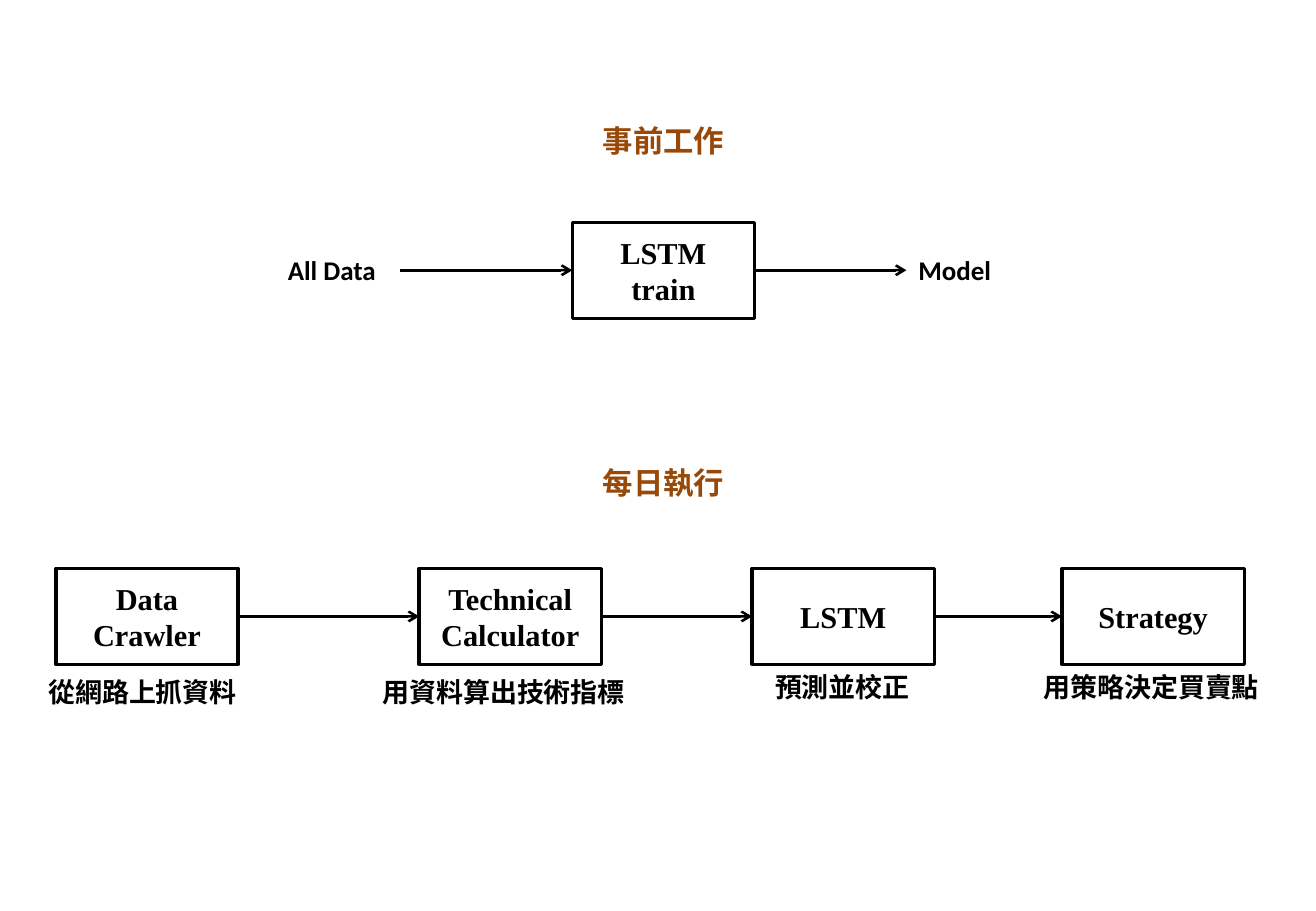
from dataclasses import dataclass
from itertools import pairwise

from lxml.etree import SubElement
from pptx import Presentation
from pptx.dml.color import RGBColor
from pptx.enum.shapes import MSO_CONNECTOR, MSO_SHAPE
from pptx.enum.text import MSO_ANCHOR, MSO_AUTO_SIZE, PP_ALIGN
from pptx.oxml.ns import qn
from pptx.util import Inches, Pt

BLACK, WHITE, BROWN = "000000", "FFFFFF", "984807"
SERIF, SANS = "Times New Roman", "Calibri"
BOX_W, BOX_H = 1.5, 0.79
HEADING_H, LABEL_H = 0.63, 0.37
CENTER_X = 4.71
TRAIN_Y, DAILY_Y = 1.83, 4.68
LEFT_SIDE, RIGHT_SIDE = 1, 3  # connection sites of a rectangle


@dataclass
class Label:
    """A line of plain text beside or below a box."""
    text: str
    x: float
    y: float
    w: float


@dataclass
class Step:
    """A box of the daily run with its caption."""
    name: str
    x: float
    caption: Label


STEPS = [
    Step("Data\nCrawler", 0.46, Label("從網路上抓資料", 0.3, 5.51, 1.97)),
    Step("Technical\nCalculator", 3.45, Label("用資料算出技術指標", 3.05, 5.51, 2.35)),
    Step("LSTM", 6.19, Label("預測並校正", 6.28, 5.47, 1.39)),
    Step("Strategy", 8.74, Label("用策略決定買賣點", 8.49, 5.47, 2.05)),
]


def rgb(color: str) -> RGBColor:
    """Turn a hex string into a colour."""
    return RGBColor.from_string(color)


def set_text(sp, text: str, font: str, size: int, color: str, align, anchor) -> None:
    """Write bold text into a shape and format it."""
    tf = sp.text_frame
    tf.text = text
    tf.word_wrap = True
    tf.auto_size = MSO_AUTO_SIZE.NONE
    tf.vertical_anchor = anchor
    for p in tf.paragraphs:
        p.alignment = align
        for r in p.runs:
            r.font.name, r.font.size, r.font.bold = font, Pt(size), True
            r.font.color.rgb = rgb(color)


def format_heading(sp, text: str, y: float) -> None:
    """Place a section heading in the centre column."""
    sp.left, sp.top = Inches(CENTER_X), Inches(y)
    sp.width, sp.height = Inches(BOX_W), Inches(HEADING_H)
    set_text(sp, text, SERIF, 18, BROWN, PP_ALIGN.CENTER, MSO_ANCHOR.MIDDLE)


def add_box(shapes, text: str, x: float, y: float):
    """Draw an outlined process box."""
    sp = shapes.add_shape(MSO_SHAPE.RECTANGLE, Inches(x), Inches(y),
                          Inches(BOX_W), Inches(BOX_H))
    sp.shadow.inherit = False
    sp.fill.solid()
    sp.fill.fore_color.rgb = rgb(WHITE)
    sp.line.color.rgb = rgb(BLACK)
    sp.line.width = Pt(2)
    set_text(sp, text, SERIF, 18, BLACK, PP_ALIGN.CENTER, MSO_ANCHOR.MIDDLE)
    return sp


def add_label(shapes, label: Label):
    """Draw a plain text label."""
    sp = shapes.add_textbox(Inches(label.x), Inches(label.y),
                            Inches(label.w), Inches(LABEL_H))
    set_text(sp, label.text, SANS, 16, BLACK, PP_ALIGN.LEFT, MSO_ANCHOR.TOP)
    return sp


def add_arrow(shapes, source, target) -> None:
    """Join the right side of one shape to the left side of the next."""
    line = shapes.add_connector(MSO_CONNECTOR.STRAIGHT, 0, 0, 0, 0)
    line.begin_connect(source, RIGHT_SIDE)
    line.end_connect(target, LEFT_SIDE)
    line.line.color.rgb = rgb(BLACK)
    line.line.width = Pt(1.5)
    SubElement(line.line._get_or_add_ln(), qn("a:tailEnd"), type="arrow")
    SubElement(line._element.spPr, qn("a:effectLst"))


def add_flow(shapes, nodes: list) -> None:
    """Join neighbouring shapes with arrows."""
    for source, target in pairwise(nodes):
        add_arrow(shapes, source, target)


def main() -> None:
    """Build the slide and save it."""
    prs = Presentation()
    prs.slide_width, prs.slide_height = Inches(10.83), Inches(7.5)
    shapes = prs.slides.add_slide(prs.slide_layouts[5]).shapes

    format_heading(shapes.title, "事前工作", 0.84)
    add_flow(shapes, [
        add_label(shapes, Label("All Data", 2.27, 2.04, 1.02)),
        add_box(shapes, "LSTM\ntrain", CENTER_X, TRAIN_Y),
        add_label(shapes, Label("Model", 7.46, 2.04, 1.26)),
    ])

    format_heading(shapes.add_textbox(0, 0, 0, 0), "每日執行", 3.66)
    add_flow(shapes, [add_box(shapes, step.name, step.x, DAILY_Y) for step in STEPS])
    for step in STEPS:
        add_label(shapes, step.caption)

    prs.save("out.pptx")


main()
